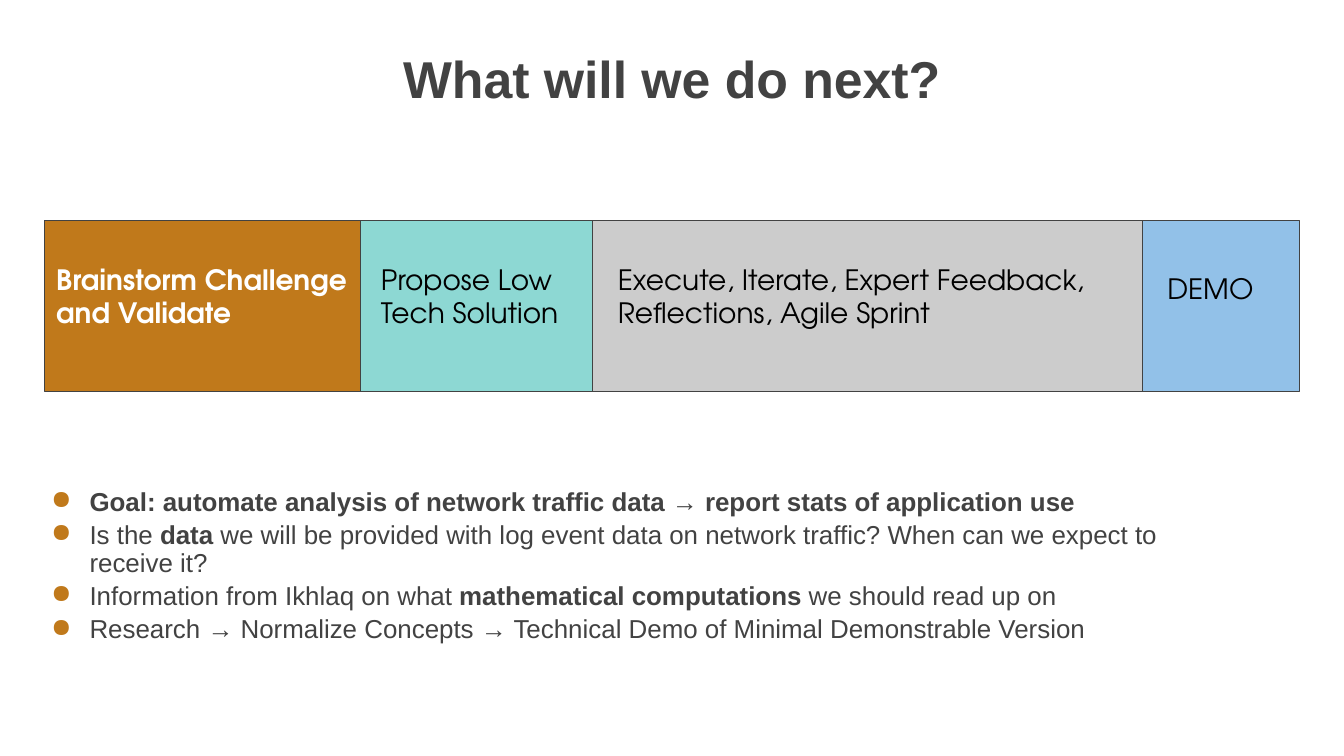
"""Build the "What will we do next?" slide with its stage bar and goals."""
import dataclasses

import lxml.etree
import pptx
import pptx.dml.color
import pptx.enum.shapes
import pptx.enum.text
import pptx.oxml.ns
import pptx.slide
import pptx.text.text
import pptx.util

Inches = pptx.util.Inches
Pt = pptx.util.Pt
ALIGN = pptx.enum.text.PP_ALIGN
ANCHOR = pptx.enum.text.MSO_ANCHOR

COLORS = {
    "ink": "424242",
    "orange": "C0791B",
    "teal": "8DD8D3",
    "grey": "CCCCCC",
    "blue": "92C1E8",
    "white": "FFFFFF",
    "black": "000000",
}
BAR_LEFT, BAR_TOP, BAR_HEIGHT = 0.44, 2.19, 1.69
STAGE_FONT = "TeX Gyre Adventor"


@dataclasses.dataclass(frozen=True)
class Box:
    left: float
    top: float
    width: float
    height: float


@dataclasses.dataclass(frozen=True)
class Stage:
    text: str
    fill: str
    width: float
    label: Box
    color: str = "black"
    bold: bool = False


STAGES = [
    Stage("Brainstorm Challenge and Validate", "orange", 3.14,
          Box(0.46, 2.5, 3.5, 0.88), "white", True),
    Stage("Propose Low Tech Solution", "teal", 2.3, Box(3.68, 2.5, 2.1, 0.88)),
    Stage("Execute, Iterate, Expert Feedback, Reflections, Agile Sprint",
          "grey", 5.45, Box(6.03, 2.5, 5.15, 0.88)),
    Stage("DEMO", "blue", 1.56, Box(11.48, 2.59, 1.27, 0.54)),
]
GOALS = [
    "*Goal: automate analysis of network traffic data → report stats of application use*",
    "Is the *data* we will be provided with log event data on network traffic? "
    "When can we expect to receive it?",
    "Information from Ikhlaq on what *mathematical computations* we should read up on",
    "Research → Normalize Concepts → Technical Demo of Minimal Demonstrable Version",
]


def rgb(name: str) -> pptx.dml.color.RGBColor:
    return pptx.dml.color.RGBColor.from_string(COLORS[name])


def place(box: Box) -> list[int]:
    return [Inches(side) for side in dataclasses.astuple(box)]


def add_dot(para: pptx.text.text._Paragraph) -> None:
    qn = pptx.oxml.ns.qn
    props = para._p.get_or_add_pPr()
    props.set("marL", str(Inches(0.38)))
    props.set("indent", str(Inches(-0.38)))
    tint = lxml.etree.SubElement(props, qn("a:buClr"))
    lxml.etree.SubElement(tint, qn("a:srgbClr"), val=COLORS["orange"])
    lxml.etree.SubElement(props, qn("a:buChar"), char="●")


def add_text(slide: pptx.slide.Slide, box: Box, lines: list[str], *,
             size: float, font: str = "Arial", color: str = "ink",
             bold: bool = False, align: ALIGN = ALIGN.LEFT,
             anchor: ANCHOR = ANCHOR.TOP, inset: float = 0.05,
             dots: bool = False) -> None:
    frame = slide.shapes.add_textbox(*place(box)).text_frame
    frame.word_wrap = True
    frame.vertical_anchor = anchor
    frame.margin_left = frame.margin_right = Inches(0.1)
    frame.margin_top = frame.margin_bottom = Inches(inset)
    for row, line in enumerate(lines):
        para = frame.add_paragraph() if row else frame.paragraphs[0]
        if dots:
            add_dot(para)
            para.line_spacing = 0.9
            if row:
                para.space_before = Pt(3.7)
        para.alignment = align
        for part, words in enumerate(line.split("*")):
            if words:
                run = para.add_run()
                run.text = words
                run.font.name = font
                run.font.size = Pt(size)
                run.font.bold = bold or part % 2 == 1
                run.font.color.rgb = rgb(color)


def add_block(slide: pptx.slide.Slide, box: Box, fill: str) -> None:
    kind = pptx.enum.shapes.MSO_SHAPE.FLOWCHART_PROCESS
    block = slide.shapes.add_shape(kind, *place(box))
    block.shadow.inherit = False
    block.fill.solid()
    block.fill.fore_color.rgb = rgb(fill)
    block.line.color.rgb = rgb("ink")
    block.line.width = Pt(0.75)


def main() -> None:
    deck = pptx.Presentation()
    deck.slide_width, deck.slide_height = Inches(13.33), Inches(7.5)
    slide = deck.slides.add_slide(deck.slide_layouts[6])

    add_text(slide, Box(0.41, 0.27, 12.51, 1), ["What will we do next?"],
             size=37, bold=True, align=ALIGN.CENTER, anchor=ANCHOR.MIDDLE)

    left = BAR_LEFT
    for stage in STAGES:
        add_block(slide, Box(left, BAR_TOP, stage.width, BAR_HEIGHT), stage.fill)
        left += stage.width
    for stage in STAGES:
        add_text(slide, stage.label, [stage.text], size=20, font=STAGE_FONT,
                 color=stage.color, bold=stage.bold, inset=0.1)

    add_text(slide, Box(0.41, 4.8, 12, 2.52), GOALS, size=18.5, dots=True)
    deck.save("out.pptx")


if __name__ == "__main__":
    main()
